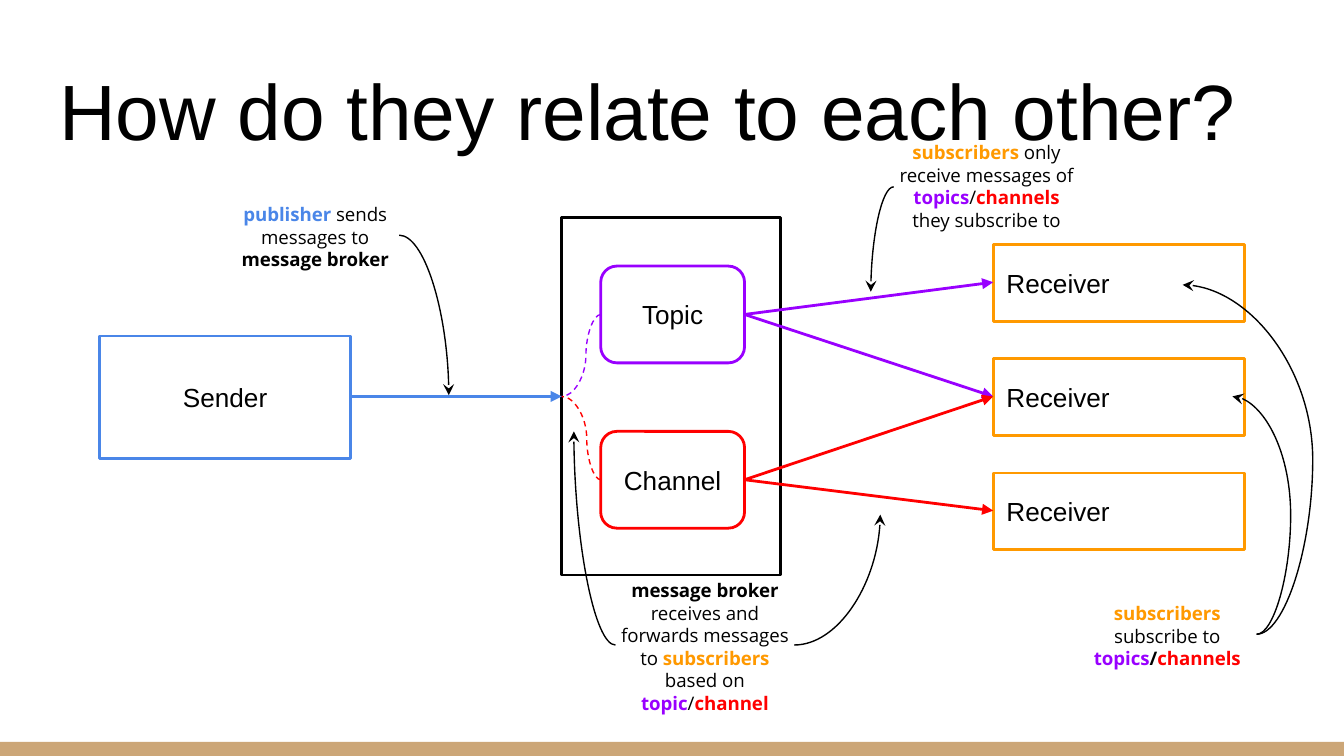
from lxml import etree
from pptx import Presentation
from pptx import util as u
from pptx.dml import color
from pptx.enum import dml, shapes, text
from pptx.oxml import ns

BLUE, GOLD, PURPLE, RED = "4A86E8", "FF9900", "9900FF", "FF0000"
BLACK, TAN = "000000", "CCA677"
LEFT, MID = text.PP_ALIGN.LEFT, text.PP_ALIGN.CENTER
RECT = shapes.MSO_SHAPE.RECTANGLE
ROUND = shapes.MSO_SHAPE.ROUNDED_RECTANGLE


def rgb(code):
    return color.RGBColor.from_string(code)


class Sketch:
    font = "Arial"
    note_font = "Open Sans"
    bold_line = 1.5
    thin_line = 0.75

    def __init__(self, slide):
        self.slide = slide

    def frame(self, shape, pad, anchor):
        body = shape.text_frame
        body.word_wrap = True
        body.auto_size = text.MSO_AUTO_SIZE.NONE
        body.vertical_anchor = anchor
        body.margin_left = body.margin_right = u.Inches(pad)
        body.margin_top = body.margin_bottom = u.Inches(pad)
        return body.paragraphs[0]

    def style(self, para, size, align, font):
        para.alignment = align
        para.font.size = u.Pt(size)
        para.font.name = font
        para.font.color.rgb = rgb(BLACK)

    def title(self, words, box):
        head = self.slide.shapes.title
        head.left, head.top, head.width, head.height = map(u.Inches, box)
        para = self.frame(head, 0.1, text.MSO_ANCHOR.BOTTOM)
        para.text = words
        self.style(para, 42, LEFT, self.font)

    def bar(self, box, fill):
        shape = self.slide.shapes.add_shape(RECT, *map(u.Inches, box))
        shape.shadow.inherit = False
        shape.fill.solid()
        shape.fill.fore_color.rgb = rgb(fill)
        shape.line.fill.background()

    def box(self, box, edge, words="", align=MID, kind=RECT):
        shape = self.slide.shapes.add_shape(kind, *map(u.Inches, box))
        shape.shadow.inherit = False
        shape.fill.background()
        shape.line.color.rgb = rgb(edge)
        shape.line.width = u.Pt(self.bold_line)
        if words:
            para = self.frame(shape, 0.1, text.MSO_ANCHOR.MIDDLE)
            para.text = words
            self.style(para, 14, align, self.font)

    def note(self, box, *parts):
        shape = self.slide.shapes.add_textbox(*map(u.Inches, box))
        para = self.frame(shape, 0, text.MSO_ANCHOR.TOP)
        self.style(para, 10, MID, self.note_font)
        for words, tint, bold in parts:
            run = para.add_run()
            run.text = words
            run.font.color.rgb = rgb(tint)
            run.font.bold = bold

    def link(self, start, end, tint, width, kind, head=None):
        ends = map(u.Inches, (*start, *end))
        line = self.slide.shapes.add_connector(kind, *ends)
        line.line.color.rgb = rgb(tint)
        line.line.width = u.Pt(width)
        if head:
            tail = etree.SubElement(line.line._get_or_add_ln(), ns.qn("a:tailEnd"))
            tail.set("type", head)
        etree.SubElement(line._element.spPr, ns.qn("a:effectLst"))
        return line

    def arrow(self, start, end, tint):
        self.link(start, end, tint, self.bold_line,
                  shapes.MSO_CONNECTOR.STRAIGHT, "triangle")

    def curve(self, start, end, tint=BLACK, bend=None, dash=False):
        line = self.link(start, end, tint, self.thin_line,
                         shapes.MSO_CONNECTOR.CURVE, None if dash else "stealth")
        if dash:
            line.line.dash_style = dml.MSO_LINE.DASH
        geom = line._element.spPr.find(ns.qn("a:prstGeom"))
        if bend is None:
            geom.set("prst", "curvedConnector2")
        else:
            guide = etree.SubElement(geom.find(ns.qn("a:avLst")), ns.qn("a:gd"))
            guide.set("name", "adj1")
            guide.set("fmla", f"val {round(bend * 100000)}")


def main():
    deck = Presentation()
    deck.slide_width, deck.slide_height = u.Inches(10), u.Inches(10 * 9 / 16)
    art = Sketch(deck.slides.add_slide(deck.slide_layouts[5]))

    art.bar((0, 5.52, 10, 0.11), TAN)
    art.title("How do they relate to each other?", (0.34, 0.35, 9.32, 0.91))

    art.box((0.74, 2.5, 1.87, 0.91), BLUE, "Sender")
    for row in range(3):
        art.box((7.39, 1.82 + 0.85 * row, 1.87, 0.57), GOLD, "Receiver", LEFT)
    art.box((4.18, 1.62, 1.63, 2.66), BLACK)

    hub = (4.18, 2.95)
    art.arrow((2.61, 2.95), hub, BLUE)
    routes = (("Topic", PURPLE, 1.98, (2.1, 2.95), 0.38),
              ("Channel", RED, 3.21, (2.95, 3.8), 0.36))
    for name, tint, top, goals, bend in routes:
        mid = top + 0.36
        art.box((4.47, top, 1.07, 0.72), tint, name, kind=ROUND)
        for goal in goals:
            art.arrow((5.54, mid), (7.39, goal), tint)
        art.curve((4.47, mid), hub, tint, bend, dash=True)

    art.note((1.72, 1.51, 1.25, 0.49),
             ("publisher", BLUE, True),
             (" sends messages to ", BLACK, False),
             ("message broker", BLACK, True))
    art.note((4.58, 4.31, 1.33, 0.99),
             ("message broker", BLACK, True),
             (" receives and forwards messages to ", BLACK, False),
             ("subscribers ", GOLD, True),
             ("based on ", BLACK, False),
             ("topic", PURPLE, True),
             ("/", BLACK, False),
             ("channel", RED, True))
    art.note((8.02, 4.48, 1.33, 0.49),
             ("subscribers ", GOLD, True),
             ("subscribe to ", BLACK, False),
             ("topics", PURPLE, True),
             ("/", BLACK, True),
             ("channels", RED, True))
    art.note((6.65, 1.05, 1.38, 0.68),
             ("subscribers", GOLD, True),
             (" only receive messages of ", BLACK, False),
             ("topics", PURPLE, True),
             ("/", BLACK, False),
             ("channels", RED, True),
             (" they subscribe to", BLACK, False))

    art.curve((2.97, 1.75), (3.34, 2.94))
    art.curve((4.58, 4.8), (4.27, 3.21))
    art.curve((5.91, 4.8), (6.55, 3.83))
    art.curve((6.65, 1.39), (6.48, 2.17))
    art.curve((9.35, 4.72), (9.17, 2.95), bend=-1.41)
    art.curve((9.35, 4.72), (8.8, 2.12), bend=-0.76)

    deck.save("out.pptx")


if __name__ == "__main__":
    main()
